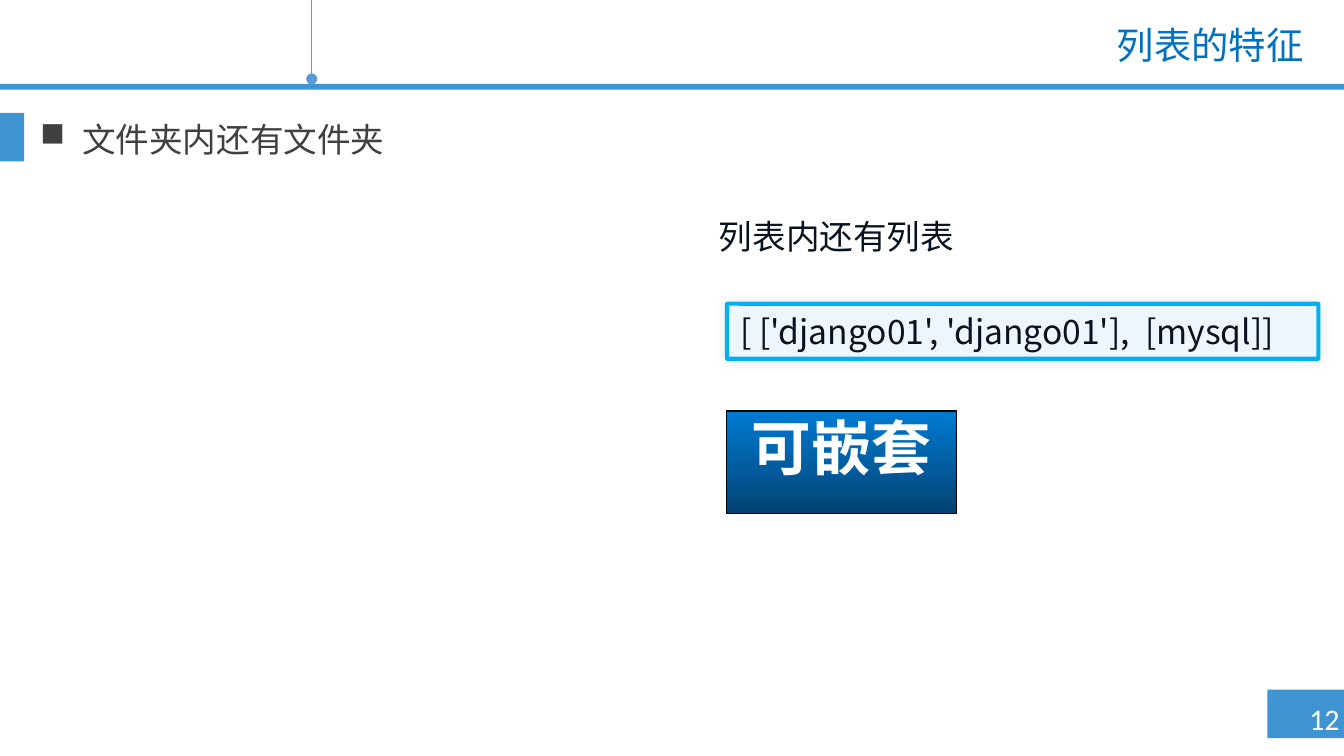
from dataclasses import dataclass, field
from typing import Any

from lxml.etree import SubElement
from pptx import Presentation
from pptx.dml.color import RGBColor
from pptx.enum.shapes import MSO_CONNECTOR, MSO_SHAPE
from pptx.enum.text import MSO_ANCHOR, PP_ALIGN
from pptx.oxml.ns import qn
from pptx.util import Pt


@dataclass(frozen=True)
class Theme:
    bar: str = "3F95D2"
    pin: str = "5B9BD5"
    title: str = "0070C0"
    body: str = "404040"
    ink: str = "09131F"
    white: str = "FFFFFF"
    black: str = "000000"
    code_fill: str = "EDF5FD"
    code_line: str = "00B0F0"
    badge_top: str = "007BD3"
    badge_bottom: str = "034373"
    cjk_font: str = "Noto Sans CJK SC"
    number_font: str = "Calibri"
    badge_size: float = 32
    title_size: float = 20
    text_size: float = 18
    number_size: float = 16


THEME = Theme()


@dataclass(frozen=True)
class Box:
    left: float
    top: float
    width: float
    height: float

    def lengths(self) -> tuple:
        return Pt(self.left), Pt(self.top), Pt(self.width), Pt(self.height)


@dataclass(frozen=True)
class Label:
    text: str
    color: str
    size: float = THEME.text_size
    font: str = THEME.cjk_font
    bold: bool = False
    bullet: str = ""
    indent: float = 0
    frame: dict[str, Any] = field(default_factory=dict)
    paragraph: dict[str, Any] = field(default_factory=dict)


def color(value: str) -> RGBColor:
    return RGBColor.from_string(value)


def apply(target: Any, values: dict[str, Any]) -> None:
    for name, value in values.items():
        setattr(target, name, value)


def write(shape: Any, label: Label) -> None:
    frame = shape.text_frame
    apply(frame, {"word_wrap": True, "vertical_anchor": MSO_ANCHOR.MIDDLE} | label.frame)
    paragraph = frame.paragraphs[0]
    apply(paragraph, {"alignment": PP_ALIGN.LEFT} | label.paragraph)
    if label.bullet:
        properties = paragraph._p.get_or_add_pPr()
        properties.set("marL", str(Pt(label.indent)))
        properties.set("indent", str(-Pt(label.indent)))
        SubElement(properties, qn("a:buChar"), char=label.bullet)
    run = paragraph.add_run()
    run.text = label.text
    apply(run.font, {"name": label.font, "size": Pt(label.size), "bold": label.bold})
    run.font.color.rgb = color(label.color)
    SubElement(run._r.get_or_add_rPr(), qn("a:ea"), typeface=label.font)


def add_text(slide: Any, box: Box, label: Label) -> None:
    write(slide.shapes.add_textbox(*box.lengths()), label)


def add_block(slide: Any, box: Box, fill: str = "", line: str = "",
              line_width: float = 0, kind: MSO_SHAPE = MSO_SHAPE.RECTANGLE) -> Any:
    shape = slide.shapes.add_shape(kind, *box.lengths())
    shape.shadow.inherit = False
    if kind == MSO_SHAPE.ROUNDED_RECTANGLE:
        shape.adjustments[0] = 0.013
    if fill:
        shape.fill.solid()
        shape.fill.fore_color.rgb = color(fill)
    else:
        shape.fill.background()
    if line:
        shape.line.color.rgb = color(line)
        shape.line.width = Pt(line_width)
    else:
        shape.line.fill.background()
    return shape


def add_pin(slide: Any, x: float, length: float) -> None:
    pin = slide.shapes.add_connector(MSO_CONNECTOR.STRAIGHT, Pt(x), Pt(0), Pt(x), Pt(length))
    pin.line.color.rgb = color(THEME.pin)
    pin.line.width = Pt(0.75)
    SubElement(pin.line._get_or_add_ln(), qn("a:tailEnd"), type="oval")
    SubElement(pin._element.spPr, qn("a:effectLst"))


def add_glow_shadow(shape: Any, blur: float) -> None:
    effects = shape._element.spPr.find(qn("a:effectLst"))
    shadow = SubElement(effects, qn("a:outerShdw"), blurRad=str(Pt(blur)), dist="0", dir="0")
    tint = SubElement(shadow, qn("a:srgbClr"), val=THEME.black)
    SubElement(tint, qn("a:alpha"), val="10000")


def main() -> None:
    presentation = Presentation()
    apply(presentation, {"slide_width": Pt(720), "slide_height": Pt(405)})
    slide = presentation.slides.add_slide(presentation.slide_layouts[6])

    # Frame: page corner, header rule, side marker, pin
    for bar in (Box(679, 369.5, 41, 26), Box(0, 45, 720, 3), Box(0, 60.5, 13, 26)):
        add_block(slide, bar, THEME.bar)
    add_pin(slide, 167, 42.3)
    add_text(slide, Box(692.6, 372, 37.4, 26.6), Label(
        "12 ", THEME.white, THEME.number_size, THEME.number_font,
        frame={"word_wrap": False, "vertical_anchor": MSO_ANCHOR.TOP},
        paragraph={"alignment": PP_ALIGN.CENTER}))

    # Title and bullet
    add_text(slide, Box(172.8, 10.8, 532.8, 28.8), Label(
        "列表的特征", THEME.title, THEME.title_size,
        paragraph={"alignment": PP_ALIGN.RIGHT, "line_spacing": 0.9}))
    add_text(slide, Box(14.4, 56.5, 680.4, 294.5), Label(
        "文件夹内还有文件夹", THEME.body, bullet="■", indent=22.5,
        frame={"vertical_anchor": MSO_ANCHOR.TOP}, paragraph={"line_spacing": Pt(25)}))

    # Nesting badge
    badge = add_block(slide, Box(389.3, 220.3, 123.2, 54.7), line=THEME.black, line_width=0.75)
    badge.fill.gradient()
    badge.fill.gradient_angle = 270
    for stop, shade in zip(badge.fill.gradient_stops, (THEME.badge_top, THEME.badge_bottom)):
        stop.color.rgb = color(shade)
    write(badge, Label(
        "可嵌套", THEME.white, THEME.badge_size, bold=True,
        frame={"vertical_anchor": MSO_ANCHOR.TOP, "margin_top": Pt(0)},
        paragraph={"alignment": PP_ALIGN.CENTER}))

    # Nested list caption and code
    rounded = MSO_SHAPE.ROUNDED_RECTANGLE
    caption = add_block(slide, Box(378, 111.6, 316.8, 29.5), kind=rounded)
    write(caption, Label("列表内还有列表", THEME.ink))
    code = add_block(slide, Box(389.5, 162.7, 316.8, 29.5),
                     THEME.code_fill, THEME.code_line, 2.25, rounded)
    add_glow_shadow(code, 7)
    write(code, Label("[ ['django01', 'django01'],  [mysql]]", THEME.ink))

    presentation.save("out.pptx")


if __name__ == "__main__":
    main()
